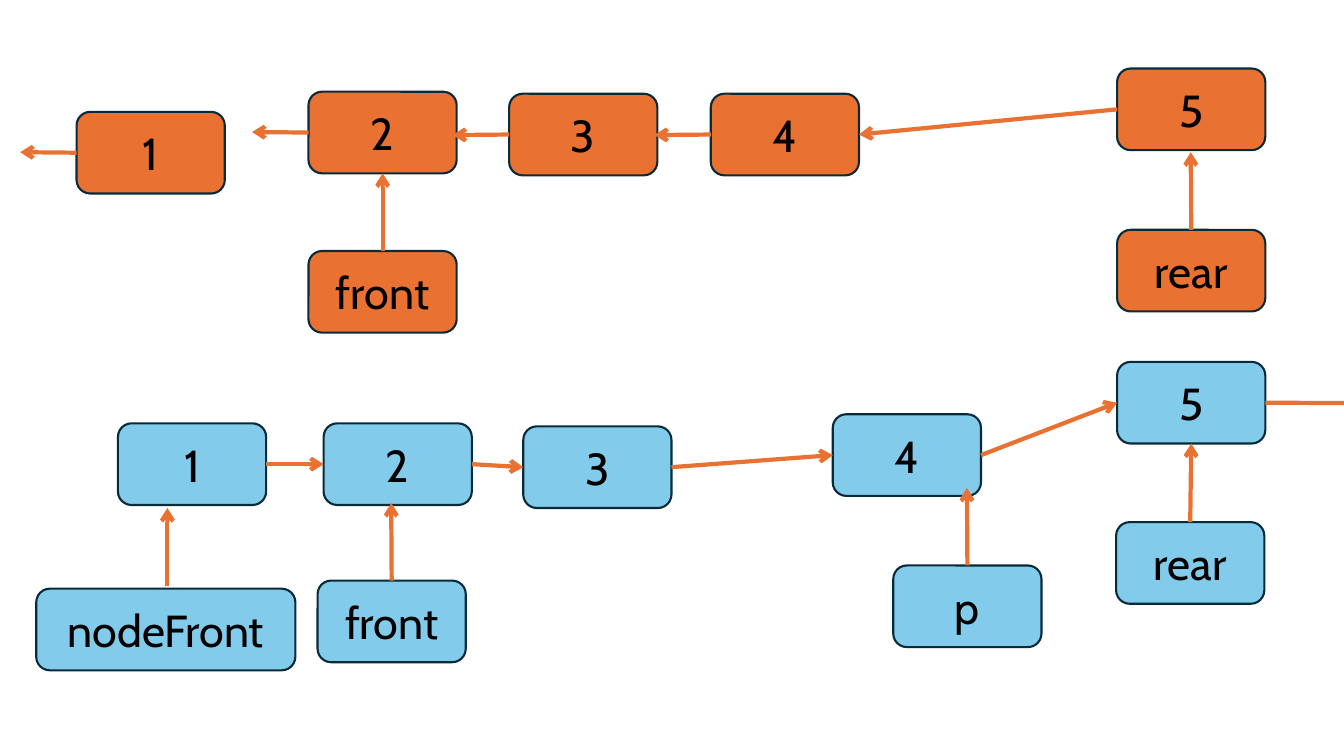
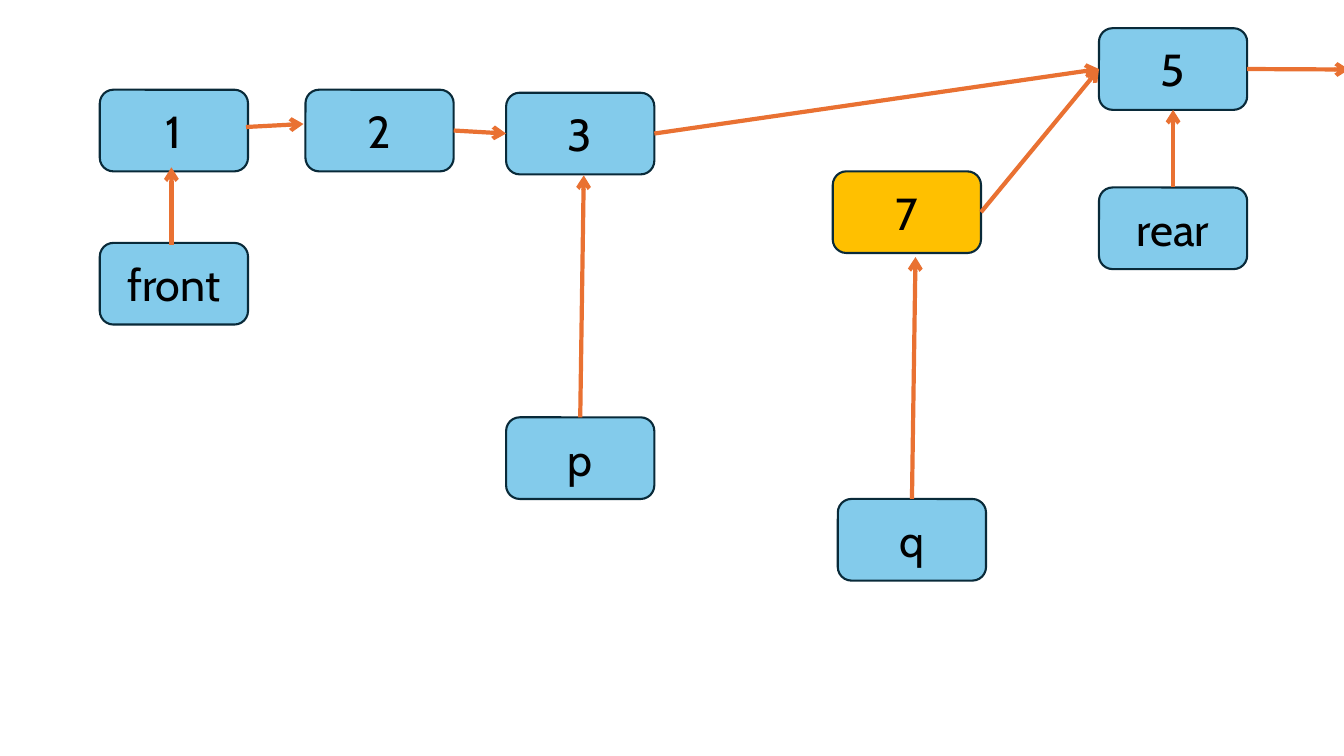
from dataclasses import dataclass
from enum import IntEnum
from typing import NamedTuple, Optional, Union

from pptx import Presentation
from pptx.dml.color import RGBColor
from pptx.enum.shapes import MSO_CONNECTOR as Conn, MSO_SHAPE as Shape
from pptx.enum.text import MSO_ANCHOR as Anchor, PP_ALIGN as Align
from pptx.oxml.ns import qn
from pptx.util import Inches, Pt
from lxml import etree


# Theme
@dataclass(frozen=True)
class Theme:
    orange: RGBColor = RGBColor.from_string("E97132")
    blue: RGBColor = RGBColor.from_string("83CBEB")
    yellow: RGBColor = RGBColor.from_string("FFC000")
    outline: RGBColor = RGBColor.from_string("092A39")
    text: RGBColor = RGBColor.from_string("000000")
    font: str = "Cabin"
    text_size: Pt = Pt(32)
    outline_width: Pt = Pt(1.5)
    arrow_width: Pt = Pt(3)


THEME = Theme()
BLANK_LAYOUT = 6
NODE_W, NODE_H = 1.47, 0.81


# Parts of a linked-list diagram
class Side(IntEnum):
    TOP = 0
    LEFT = 1
    BOTTOM = 2
    RIGHT = 3


TOP, LEFT, BOTTOM, RIGHT = Side


class Point(NamedTuple):
    x: float
    y: float


class Joint(NamedTuple):
    node: str
    side: Side


End = Union[Point, Joint]


class Node(NamedTuple):
    text: str
    x: float
    y: float
    width: float = NODE_W
    fill: Optional[RGBColor] = None


class Arrow(NamedTuple):
    start: End
    end: End


@dataclass(frozen=True)
class LinkedList:
    fill: RGBColor
    nodes: list[Node]
    arrows: list[Arrow]


# Slide contents
BACKWARD_LIST = LinkedList(
    THEME.orange,
    [
        Node("1", 0.76, 1.11),
        Node("2", 3.06, 0.91),
        Node("3", 5.05, 0.93),
        Node("4", 7.05, 0.93),
        Node("5", 11.08, 0.68),
        Node("front", 3.06, 2.49),
        Node("rear", 11.08, 2.28),
    ],
    [
        Arrow(Joint("1", LEFT), Point(0.2, 1.51)),
        Arrow(Joint("2", LEFT), Point(2.5, 1.31)),
        Arrow(Joint("3", LEFT), Point(4.49, 1.34)),
        Arrow(Joint("4", LEFT), Point(6.49, 1.34)),
        Arrow(Joint("5", LEFT), Joint("4", RIGHT)),
        Arrow(Joint("front", TOP), Joint("2", BOTTOM)),
        Arrow(Joint("rear", TOP), Point(11.81, 1.51)),
    ],
)

FORWARD_LIST = LinkedList(
    THEME.blue,
    [
        Node("1", 1.17, 4.2),
        Node("2", 3.21, 4.2),
        Node("3", 5.19, 4.23),
        Node("4", 8.26, 4.11),
        Node("5", 11.08, 3.59),
        Node("nodeFront", 0.36, 5.84, 2.57),
        Node("front", 3.15, 5.76),
        Node("p", 8.86, 5.61),
        Node("rear", 11.07, 5.18),
    ],
    [
        Arrow(Joint("1", RIGHT), Joint("2", LEFT)),
        Arrow(Joint("2", RIGHT), Joint("3", LEFT)),
        Arrow(Joint("3", RIGHT), Joint("4", LEFT)),
        Arrow(Joint("4", RIGHT), Joint("5", LEFT)),
        Arrow(Joint("5", RIGHT), Point(13.56, 4)),
        Arrow(Point(1.66, 5.81), Point(1.66, 5.04)),
        Arrow(Joint("front", TOP), Point(3.88, 4.99)),
        Arrow(Joint("p", TOP), Point(9.59, 4.84)),
        Arrow(Joint("rear", TOP), Joint("5", BOTTOM)),
    ],
)

INSERTION_LIST = LinkedList(
    THEME.blue,
    [
        Node("1", 0.99, 0.89),
        Node("2", 3.03, 0.89),
        Node("3", 5.02, 0.92),
        Node("7", 8.26, 1.7, fill=THEME.yellow),
        Node("5", 10.9, 0.28),
        Node("front", 0.99, 2.41),
        Node("p", 5.02, 4.14),
        Node("q", 8.31, 4.95),
        Node("rear", 10.9, 1.86),
    ],
    [
        Arrow(Point(2.44, 1.26), Point(3.01, 1.23)),
        Arrow(Joint("2", RIGHT), Joint("3", LEFT)),
        Arrow(Joint("3", RIGHT), Joint("5", LEFT)),
        Arrow(Joint("7", RIGHT), Joint("5", LEFT)),
        Arrow(Joint("5", RIGHT), Point(13.38, 0.69)),
        Arrow(Point(1.7, 2.43), Point(1.7, 1.66)),
        Arrow(Joint("p", TOP), Point(5.79, 1.74)),
        Arrow(Joint("q", TOP), Point(9.08, 2.55)),
        Arrow(Joint("rear", TOP), Joint("5", BOTTOM)),
    ],
)

SLIDES = [[BACKWARD_LIST, FORWARD_LIST], [INSERTION_LIST]]


# Drawing
def add_node(s, node: Node, fill: RGBColor):
    sp = s.shapes.add_shape(
        Shape.ROUNDED_RECTANGLE,
        Inches(node.x), Inches(node.y), Inches(node.width), Inches(NODE_H),
    )
    sp.shadow.inherit = False
    sp.fill.solid()
    sp.fill.fore_color.rgb = node.fill or fill
    sp.line.color.rgb = THEME.outline
    sp.line.width = THEME.outline_width
    tf = sp.text_frame
    tf.vertical_anchor = Anchor.MIDDLE
    p = tf.paragraphs[0]
    p.alignment = Align.CENTER
    r = p.add_run()
    r.text = node.text
    for name, value in {"name": THEME.font, "size": THEME.text_size}.items():
        setattr(r.font, name, value)
    r.font.color.rgb = THEME.text
    return sp


def add_arrow(s, arrow: Arrow, shapes: dict) -> None:
    # Joined ends start at the origin; connecting moves them into place
    points = [e if isinstance(e, Point) else Point(0, 0) for e in arrow]
    cx = s.shapes.add_connector(
        Conn.STRAIGHT, *(Inches(v) for point in points for v in point)
    )
    for end, connect in zip(arrow, (cx.begin_connect, cx.end_connect)):
        if isinstance(end, Joint):
            connect(shapes[end.node], int(end.side))
    cx.line.color.rgb = THEME.orange
    cx.line.width = THEME.arrow_width
    sp_pr = cx.line._get_or_add_ln().getparent()
    etree.SubElement(sp_pr.find(qn("a:ln")), qn("a:tailEnd"), type="arrow")
    etree.SubElement(sp_pr, qn("a:effectLst"))


def add_list(s, linked: LinkedList) -> None:
    shapes = {node.text: add_node(s, node, linked.fill) for node in linked.nodes}
    for arrow in linked.arrows:
        add_arrow(s, arrow, shapes)


def main() -> None:
    prs = Presentation()
    prs.slide_width, prs.slide_height = Inches(13.33), Inches(7.5)
    for lists in SLIDES:
        s = prs.slides.add_slide(prs.slide_layouts[BLANK_LAYOUT])
        for linked in lists:
            add_list(s, linked)
    prs.save("out.pptx")


if __name__ == "__main__":
    main()
